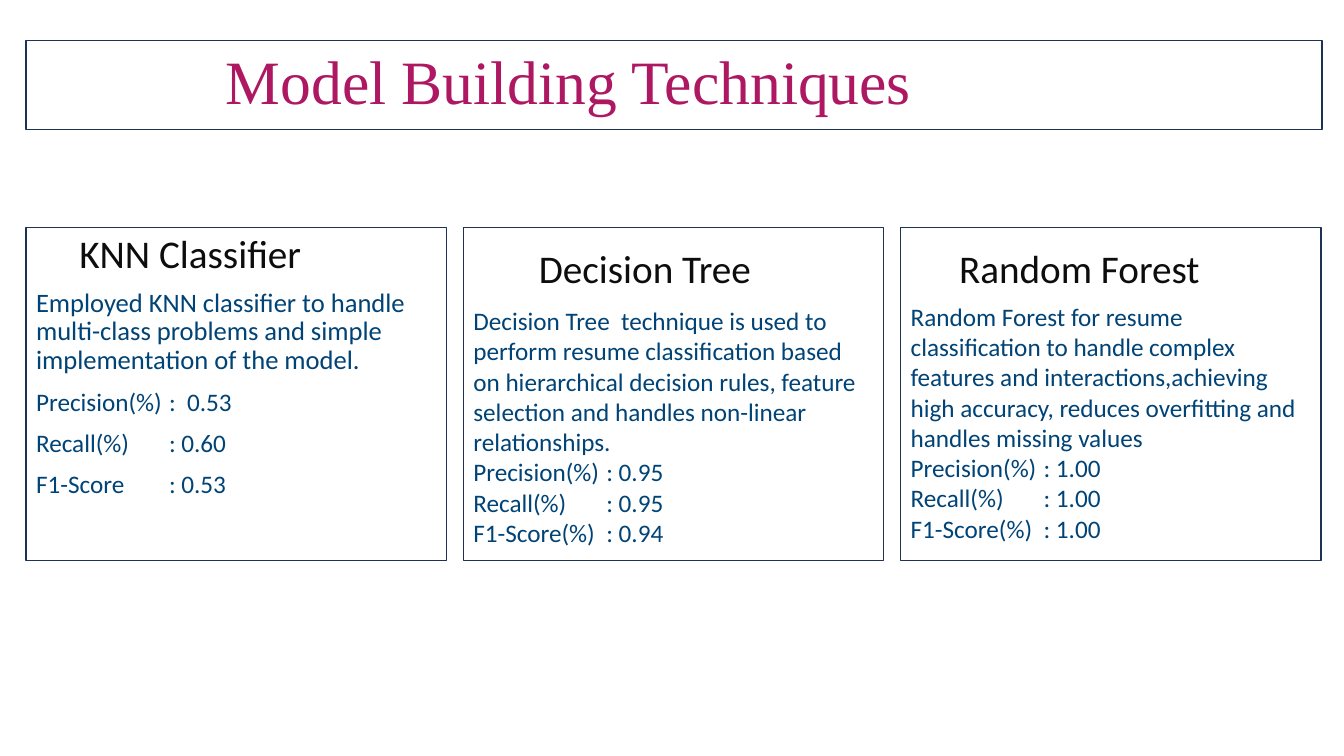
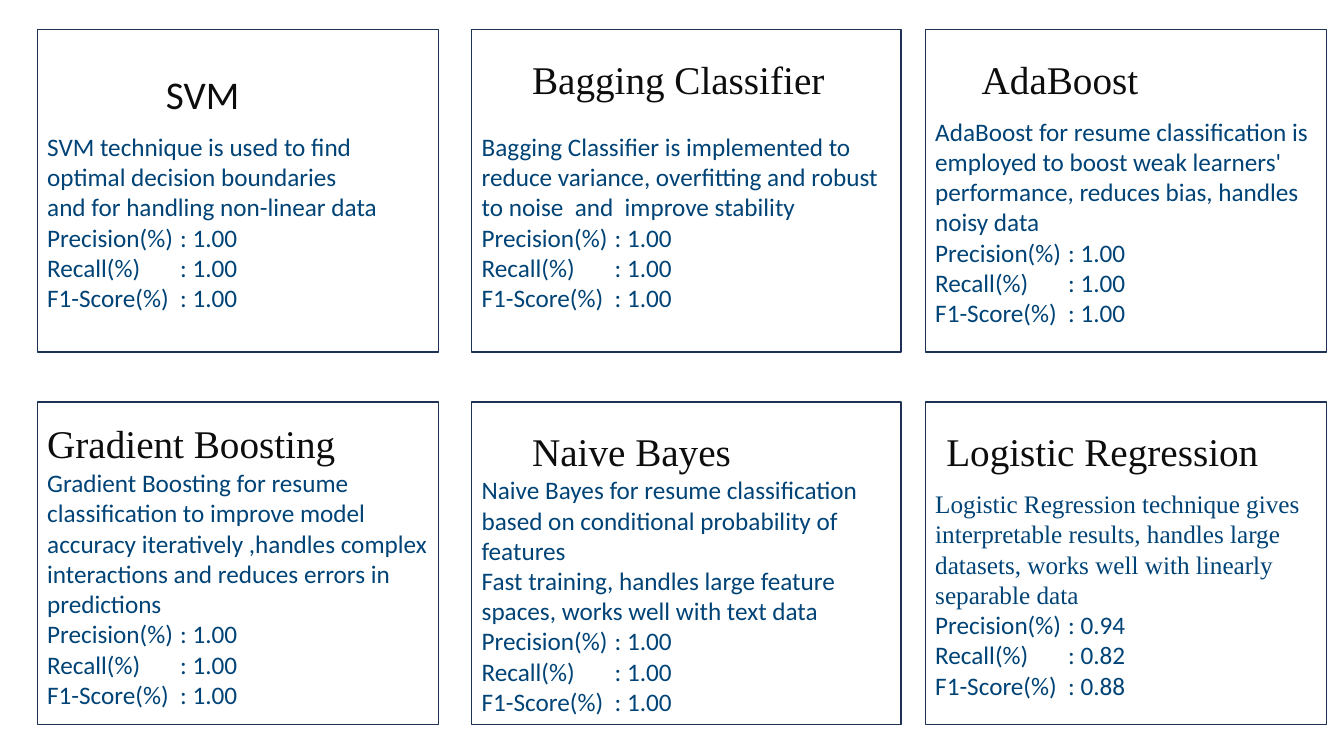
"""Build two slides that compare classifiers as a row and a grid of outlined cards."""
from lxml import etree
from pptx import Presentation
from pptx import util as u
from pptx.dml.color import RGBColor
from pptx.enum import shapes, text
from pptx.oxml.ns import qn

Cm, Pt = u.Cm, u.Pt
MAGENTA = RGBColor(0xAE, 0x18, 0x63)
NAVY = RGBColor(0x1E, 0x32, 0x56)
BLUE = RGBColor(0x00, 0x43, 0x76)
BLACK = RGBColor(0x0D, 0x0D, 0x0D)
SANS, SERIF = "Calibri", "Times New Roman"
INSET = Cm(0.25)


def add_frame(s, x, y, w, h):
    """Add an outlined rectangle and return its text frame."""
    sp = s.shapes.add_shape(shapes.MSO_SHAPE.RECTANGLE, Cm(x), Cm(y), Cm(w), Cm(h))
    sp.shadow.inherit = False
    sp.fill.background()
    sp.line.color.rgb = NAVY
    sp.line.width = Pt(1)
    tf = sp.text_frame
    tf.word_wrap = True
    tf.margin_left = tf.margin_right = INSET
    return tf


def style(p, size, face, color, spacing=None, before=0, tab=None):
    """Set the paragraph layout and font."""
    p.alignment = text.PP_ALIGN.LEFT
    p.line_spacing = spacing
    p.space_before = Pt(before)
    if tab:
        tabs = etree.SubElement(p._p.get_or_add_pPr(), qn("a:tabLst"))
        etree.SubElement(tabs, qn("a:tab"), pos=str(tab), algn="l")
    p.font.size, p.font.name, p.font.color.rgb = Pt(size), face, color


prs = Presentation()
prs.slide_width, prs.slide_height = Cm(33.87), Cm(19.05)

ROW = [(0.66 + 11.02 * i, 5.74, 10.59, 8.38) for i in range(3)]
GRID = [(x, y, w, 8.13) for y in (0.74, 10.13)
        for x, w in ((0.94, 10.11), (11.89, 10.82), (23.32, 10.11))]

# name, name font, name offset (x, y), text offset, text font, text, scores
TECHNIQUES = [
    ("KNN Classifier", SANS, (1.09, -0.08), 1.55, SANS,
     ["Employed KNN classifier to handle multi-class problems and simple implementation of the model."],
     (" 0.53", "0.60", "0.53")),
    ("Decision Tree", SANS, (1.65, 0.3), 1.96, SANS,
     ["Decision Tree  technique is used to perform resume classification based on hierarchical "
      "decision rules, feature selection and handles non-linear relationships."],
     ("0.95", "0.95", "0.94")),
    ("Random Forest", SANS, (1.22, 0.3), 1.85, SANS,
     ["Random Forest for resume classification to handle complex features and interactions,achieving "
      "high accuracy, reduces overfitting and handles missing values"],
     ("1.00", "1.00", "1.00")),
    ("SVM", SANS, (2.99, 0.9), 2.57, SANS,
     ["SVM technique is used to find optimal decision boundaries", "and for handling non-linear data"],
     ("1.00", "1.00", "1.00")),
    ("Bagging Classifier", SERIF, (1.27, 0.53), 2.57, SANS,
     ["Bagging Classifier is implemented to  reduce variance, overfitting and robust to noise  and  "
      "improve stability"],
     ("1.00", "1.00", "1.00")),
    ("AdaBoost", SERIF, (1.17, 0.53), 2.18, SANS,
     ["AdaBoost for resume classification is employed to boost weak learners' performance, "
      "reduces bias, handles noisy data"],
     ("1.00", "1.00", "1.00")),
    ("Gradient Boosting", SERIF, (0, 0.3), 1.65, SANS,
     ["Gradient Boosting for resume classification to improve model accuracy iteratively ,handles "
      "complex interactions and reduces errors in predictions"],
     ("1.00", "1.00", "1.00")),
    ("Naive Bayes", SERIF, (1.27, 0.51), 1.83, SANS,
     ["Naive Bayes for resume classification based on conditional probability of features",
      "Fast training, handles large feature spaces, works well with text data"],
     ("1.00", "1.00", "1.00")),
    ("Logistic Regression", SERIF, (0.28, 0.51), 2.18, SERIF,
     ["Logistic Regression technique gives interpretable results, handles large datasets, "
      "works well with linearly separable data"],
     ("0.94", "0.82", "0.88")),
]

for cells, techniques in ((ROW, TECHNIQUES[:3]), (GRID, TECHNIQUES[3:])):
    s = prs.slides.add_slide(prs.slide_layouts[6])
    if cells is ROW:
        tf = add_frame(s, 0.66, 1.02, 32.66, 2.24)
        tf.margin_left = Cm(5.03)
        tf.vertical_anchor = text.MSO_ANCHOR.MIDDLE
        tf.text = "Model Building Techniques"
        style(tf.paragraphs[0], 44, SERIF, MAGENTA, 0.9)

    for (x, y, w, h), (name, name_face, (dx, dy), top, face, lines, scores) in zip(cells, techniques):
        knn = name == "KNN Classifier"
        spacing, before = (0.9, 10) if knn else (Pt(21.6), 0)
        labels = ("Precision(%)", "Recall(%)", "F1-Score" if knn else "F1-Score(%)")
        rows = [f"{label}\t: {score}" for label, score in zip(labels, scores)]

        tf = add_frame(s, x, y, w, h)
        tf.vertical_anchor = text.MSO_ANCHOR.TOP
        tf.margin_top = Cm(top)
        tf.text = "\n".join(lines + rows)
        for i, p in enumerate(tf.paragraphs):
            if i < len(lines):
                style(p, 19 if knn else 18, face, BLUE, spacing, before)
            else:
                style(p, 18, SANS, BLUE, spacing, before, Cm(3.35))

        tf = s.shapes.add_textbox(Cm(x + dx), Cm(y + dy), Cm(w - dx), Cm(1.45)).text_frame
        tf.word_wrap = True
        tf.text = name
        style(tf.paragraphs[0], 28, name_face, BLACK)

prs.save("out.pptx")
